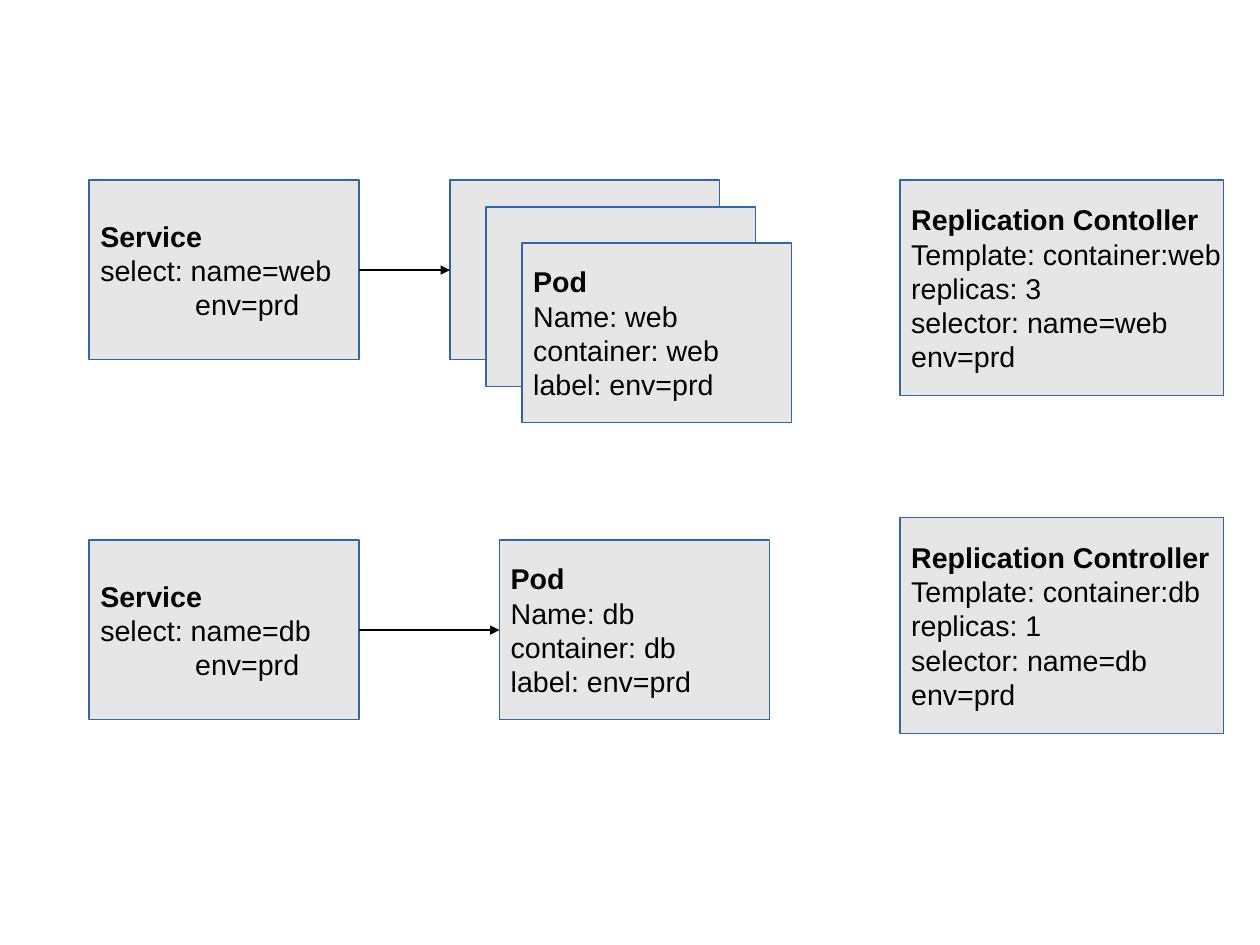
"""Draw services, pods and replication controllers on one slide."""
import dataclasses
import lxml.etree
import pptx
import pptx.dml.color
import pptx.enum.shapes
import pptx.enum.text
import pptx.oxml.ns
import pptx.util


@dataclasses.dataclass(frozen=True)
class Theme:
    font: str = "Arial"
    size: int = 18
    ink: str = "000000"
    fill: str = "E6E6E6"
    edge: str = "3465A4"
    line: float = 0.75
    inset: float = 0.83


def tone(code):
    return pptx.dml.color.RGBColor.from_string(code)


def write(para, text, *, theme, bold=False, inset=0):
    para.alignment = pptx.enum.text.PP_ALIGN.LEFT
    if inset:
        props = para._p.get_or_add_pPr()
        props.set("marL", str(pptx.util.Inches(inset)))
        props.set("indent", "0")
    run = para.add_run()
    run.text = text
    run.font.name = theme.font
    run.font.size = pptx.util.Pt(theme.size)
    run.font.bold = bold
    run.font.color.rgb = tone(theme.ink)


class Board:
    def __init__(self, deck, theme, cols, rows):
        self.theme = theme
        self.slide = deck.slides.add_slide(deck.slide_layouts[6])
        self.col = deck.slide_width / cols
        self.row = deck.slide_height / rows

    def box(self, left, top, wide, tall, head="", lines=(), tail=""):
        shape = self.slide.shapes.add_shape(
            pptx.enum.shapes.MSO_SHAPE.RECTANGLE,
            round(left * self.col), round(top * self.row),
            round(wide * self.col), round(tall * self.row))
        shape.shadow.inherit = False
        shape.fill.solid()
        shape.fill.fore_color.rgb = tone(self.theme.fill)
        shape.line.color.rgb = tone(self.theme.edge)
        shape.line.width = pptx.util.Pt(self.theme.line)
        if head:
            frame = shape.text_frame
            frame.word_wrap = False
            frame.vertical_anchor = pptx.enum.text.MSO_ANCHOR.MIDDLE
            write(frame.paragraphs[0], head, theme=self.theme, bold=True)
            for text in lines:
                write(frame.add_paragraph(), text, theme=self.theme)
            if tail:
                write(frame.add_paragraph(), tail, theme=self.theme,
                      inset=self.theme.inset)
        return shape

    def arrow(self, start, end):
        link = self.slide.shapes.add_connector(
            pptx.enum.shapes.MSO_CONNECTOR.STRAIGHT, 0, 0, 0, 0)
        link.begin_connect(start, 3)
        link.end_connect(end, 1)
        link.line.color.rgb = tone(self.theme.ink)
        link.line.width = pptx.util.Pt(self.theme.line)
        name = pptx.oxml.ns.qn
        tip = lxml.etree.SubElement(link.line._get_or_add_ln(), name("a:tailEnd"))
        tip.set("type", "triangle")
        lxml.etree.SubElement(link._element.spPr, name("a:effectLst"))

    def service(self, top, name):
        return self.box(1.98, top, 6, 4, "Service", [f"select: name={name}"],
                        tail="env=prd")

    def pod(self, left, top, name):
        return self.box(left, top, 6, 4, "Pod", [
            f"Name: {name}", f"container: {name}", "label: env=prd"])

    def control(self, top, head, name, count):
        return self.box(20, top, 7.2, 4.8, head, [
            f"Template: container:{name}", f"replicas: {count}",
            f"selector: name={name}", "env=prd"])


def main():
    deck = pptx.Presentation()
    deck.slide_width = pptx.util.Cm(28)
    deck.slide_height = pptx.util.Cm(21)
    board = Board(deck, Theme(), cols=28, rows=21)

    web = board.service(4, "web")
    back = board.box(10, 4, 6, 4)
    board.control(4, "Replication Contoller", "web", 3)
    board.box(10.8, 4.6, 6, 4)
    board.pod(11.6, 5.4, "web")

    store = board.service(12, "db")
    board.control(11.5, "Replication Controller", "db", 1)
    pod = board.pod(11.1, 12, "db")

    board.arrow(web, back)
    board.arrow(store, pod)
    deck.save("out.pptx")


if __name__ == "__main__":
    main()
